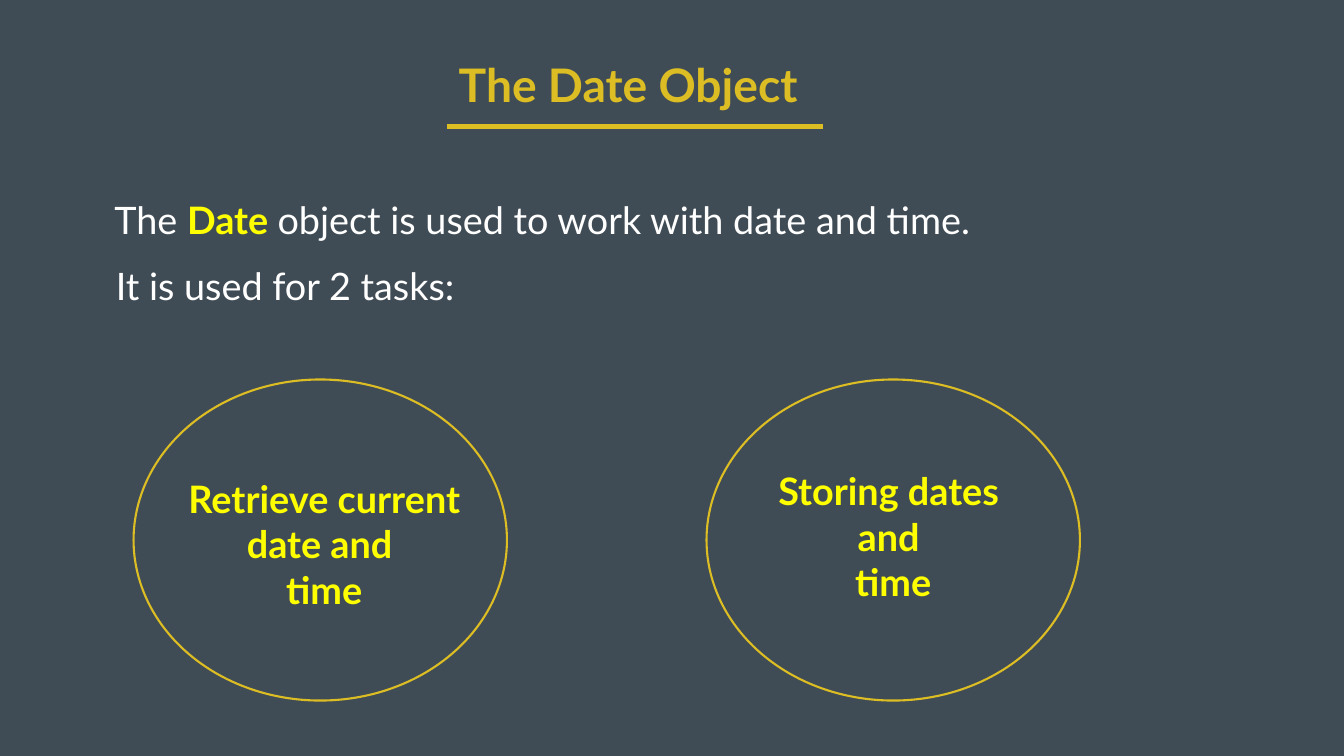
from lxml import etree
from pptx import Presentation
from pptx.dml.color import RGBColor
from pptx.enum.shapes import MSO_CONNECTOR, MSO_SHAPE
from pptx.enum.text import MSO_ANCHOR, MSO_AUTO_SIZE, PP_ALIGN
from pptx.oxml.ns import qn
from pptx.util import Inches, Pt

STRAIGHT = MSO_CONNECTOR.STRAIGHT
OVAL = MSO_SHAPE.OVAL
MIDDLE = MSO_ANCHOR.MIDDLE
FIT_SHAPE = MSO_AUTO_SIZE.SHAPE_TO_FIT_TEXT
NO_FIT = MSO_AUTO_SIZE.NONE
CENTER = PP_ALIGN.CENTER

SLATE = RGBColor(0x40, 0x4C, 0x55)
GOLD = RGBColor(0xDC, 0xBD, 0x23)
YELLOW = RGBColor(0xFF, 0xFF, 0x00)
WHITE = RGBColor(0xFF, 0xFF, 0xFF)

FONT = "Lato"
BODY_SIZE = 54


def style(font, size, color, bold=False):
    font.name = FONT
    font.size = Pt(size)
    font.bold = bold
    font.color.rgb = color


def add_title(slide, left, top, width, height):
    title = slide.shapes.title
    title.left, title.top = Inches(left), Inches(top)
    title.width, title.height = Inches(width), Inches(height)
    frame = title.text_frame
    frame.margin_left = frame.margin_right = 0
    frame.margin_top = frame.margin_bottom = 0
    frame.vertical_anchor = MIDDLE
    frame.auto_size = NO_FIT
    heading = frame.paragraphs[0]
    heading.text = "The Date Object"
    heading.alignment = CENTER
    heading.line_spacing = 0.8
    style(heading.font, 66, GOLD, bold=True)

    # Rule under the title
    rule_left, rule_y = left + 3.87, top + 1.18
    rule = slide.shapes.add_connector(
        STRAIGHT, Inches(rule_left), Inches(rule_y),
        Inches(rule_left + 7.47), Inches(rule_y))
    rule.line.color.rgb = GOLD
    rule.line.width = Pt(8)
    etree.SubElement(rule._element.spPr, qn("a:effectLst"))


def add_sentence(slide, left, top, width, parts):
    """Add one line of body text; parts are (text, is_keyword) pairs."""
    box = slide.shapes.add_textbox(
        Inches(left), Inches(top), Inches(width), Inches(1.01))
    frame = box.text_frame
    frame.word_wrap = True
    frame.auto_size = FIT_SHAPE
    sentence = frame.paragraphs[0]
    style(sentence.font, BODY_SIZE, WHITE)
    for text, is_keyword in parts:
        run = sentence.add_run()
        run.text = text
        if is_keyword:
            style(run.font, BODY_SIZE, YELLOW, bold=True)


def add_task(slide, left, top, label_dx, label_dy, label_width, lines):
    # Outline
    ring = slide.shapes.add_shape(
        OVAL, Inches(left), Inches(top), Inches(7.41), Inches(6.37))
    ring.shadow.inherit = False
    ring.fill.background()
    ring.line.color.rgb = GOLD
    ring.line.width = Pt(3)

    # Label
    label = slide.shapes.add_textbox(
        Inches(left + label_dx), Inches(top + label_dy),
        Inches(label_width), Inches(2.83))
    frame = label.text_frame
    frame.word_wrap = False
    frame.auto_size = FIT_SHAPE
    frame.text = "\n".join(lines)
    for line in frame.paragraphs:
        line.alignment = CENTER
        style(line.font, BODY_SIZE, YELLOW, bold=True)


def main():
    prs = Presentation()
    prs.slide_width, prs.slide_height = Inches(26.67), Inches(15)
    slide = prs.slides.add_slide(prs.slide_layouts[5])
    background = slide.background.fill
    background.solid()
    background.fore_color.rgb = SLATE

    add_title(slide, 5, 1.33, 14.93, 0.89)

    # Introduction
    add_sentence(slide, 2.17, 3.85, 24.05, [
        ("The ", False), ("Date ", True),
        ("object is used to work with date and time.", False)])
    add_sentence(slide, 2.2, 5.16, 13.33, [("It is used for 2 tasks:", False)])

    # Two tasks
    add_task(slide, 2.65, 7.53, 0.78, 1.86, 6.01,
             ["Retrieve current", "date and ", "time"])
    add_task(slide, 14.02, 7.53, 1.08, 1.71, 5.25,
             ["Storing dates ", "and ", "time"])

    prs.save("out.pptx")


if __name__ == "__main__":
    main()
